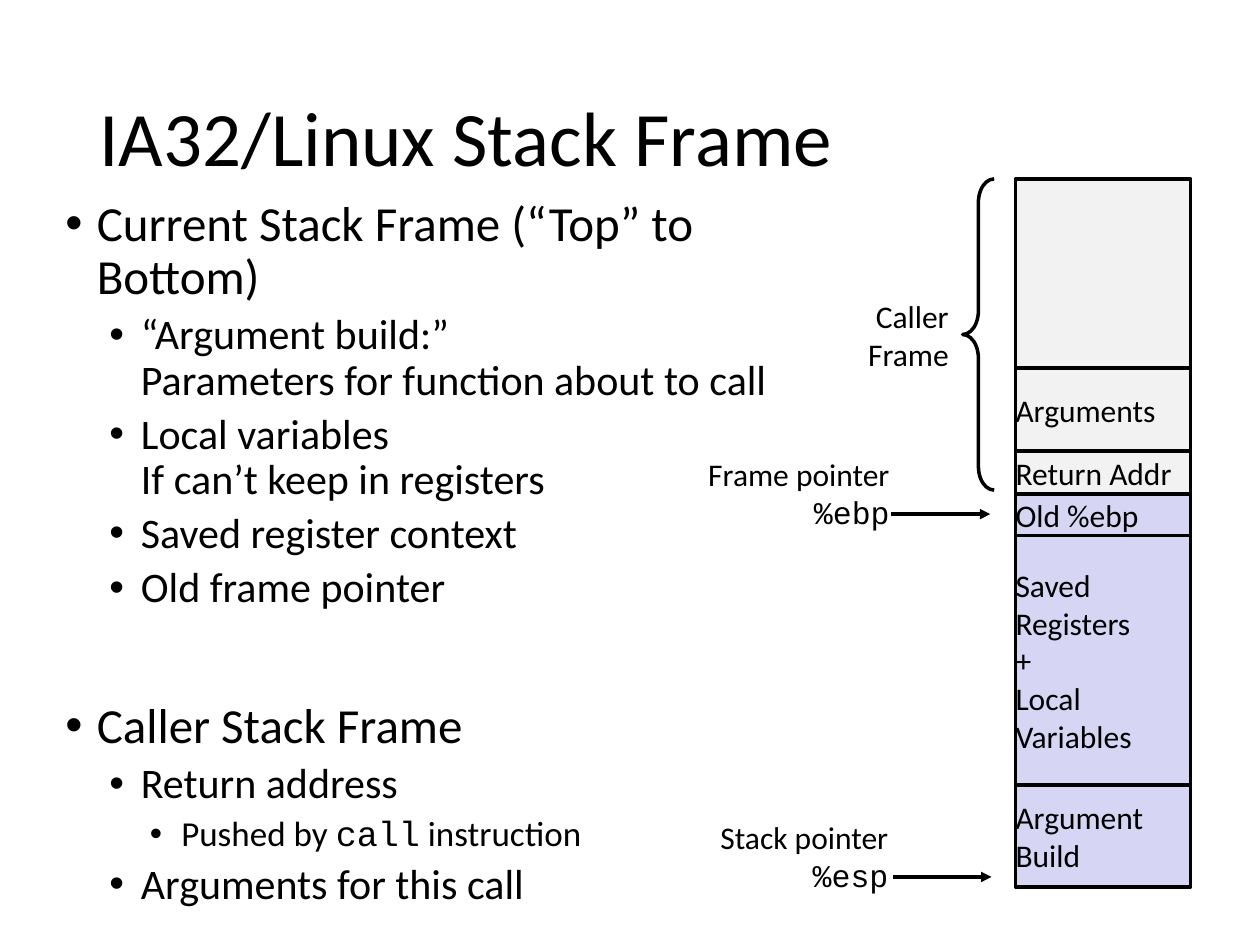
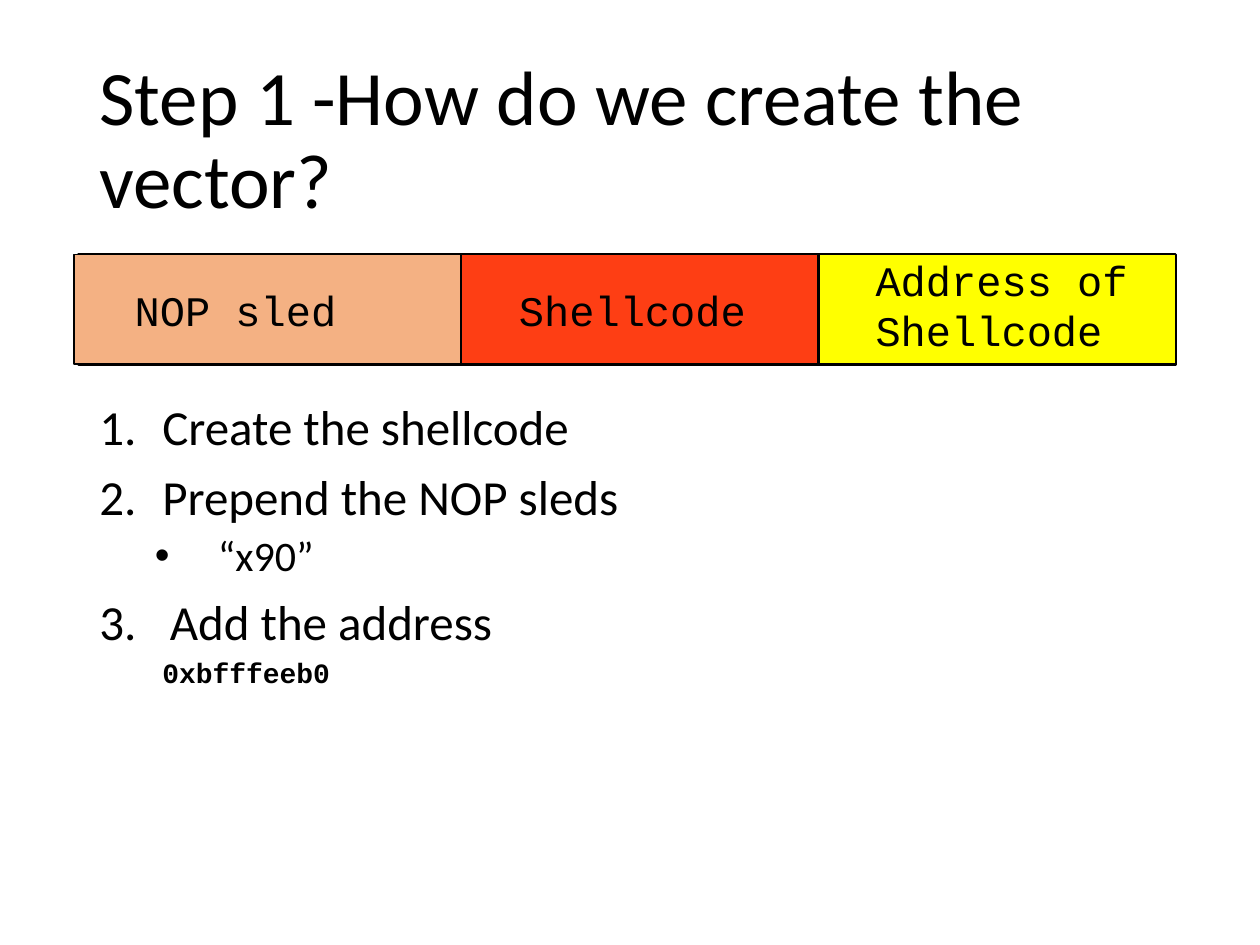
import pptx
import pptx.util
import pptx.dml.color
import pptx.enum.shapes
import pptx.enum.text
import pptx.oxml
import pptx.oxml.ns
from lxml import etree

Inches = pptx.util.Inches
Pt = pptx.util.Pt
Shape = pptx.enum.shapes.MSO_SHAPE
Align = pptx.enum.text.PP_ALIGN
Anchor = pptx.enum.text.MSO_ANCHOR

HUES = {"ink": "000000", "caller": "F2F2F2", "current": "D6D6F4",
        "sled": "F4B183", "code": "FE3E14", "address": "FFFF00"}
SANS, MONO = "Calibri", "Courier New"

# level, left, hang, size, space before, bullet
STYLES = {
    "top": (0, 0.25, 0.25, 28, 10, "•"),
    "sub": (1, 0.6, 0.25, 24, 5, "•"),
    "low": (2, 0.92, 0.25, 20, 5, "•"),
    "step": (0, 0.5, 0.5, 28, 10, "auto"),
    "last": (0, 0.56, 0.56, 28, 10, "auto"),
    "note": (1, 0.94, 0.5, 24, 5, "•"),
    "hex": (1, 0.5, 0, 16, 5, None),
}

FRAME = {
    "title": "IA32/Linux Stack Frame",
    "box": (0.42, 1.53, 5.88, 5.94),
    "rows": [
        ("top", ["Current Stack Frame (“Top” to Bottom)"]),
        ("sub", ["“Argument build:”\nParameters for function about to call"]),
        ("sub", ["Local variables\nIf can’t keep in registers"]),
        ("sub", ["Saved register context"]),
        ("sub", ["Old frame pointer"]),
        ("top", ["Caller Stack Frame"], 51),
        ("sub", ["Return address"]),
        ("low", ["Pushed by ", ("call", MONO), " instruction"]),
        ("sub", ["Arguments for this call"]),
    ],
}
VECTOR = {
    "title": "Step 1 -How do we create the vector?",
    "box": (0.69, 3.15, 8.62, 3.6),
    "rows": [
        ("step", ["Create the shellcode"]),
        ("step", ["Prepend the NOP sleds"]),
        ("note", ["“x90”"]),
        ("last", ["Add the address"]),
        ("hex", [("0xbfffeeb0", MONO)]),
    ],
}
STACK = [
    ("caller", 1.5, []),
    ("caller", 0.66, ["Arguments"]),
    ("caller", 0.34, ["Return Addr"]),
    ("current", 0.33, ["Old %ebp"]),
    ("current", 1.98, ["Saved", "Registers", "+", "Local", "Variables"]),
    ("current", 0.81, ["Argument", "Build"]),
]
TAGS = [
    ((6.82, 2.32, 0.75, 0.69), [["Caller"], ["Frame"]]),
    ((5.39, 3.57, 1.71, 0.67), [["Frame pointer\n", ("%ebp", MONO)]]),
    ((5.47, 6.45, 1.62, 0.67), [["Stack pointer"], [("%esp", MONO)]]),
]
ARROWS = [(7.07, 7.86, 4.08), (7.09, 7.87, 6.96)]
PARTS = [
    ("code", 3.66, 2.83, (4.02, 2.21, 2.02, 0.5), ["Shellcode"]),
    ("sled", 0.59, 3.07, (0.97, 2.21, 1.83, 0.5), ["NOP sled"]),
    ("address", 6.5, 2.83, (6.85, 1.97, 2.22, 0.91), ["Address of", "Shellcode"]),
]


def hue(name):
    return pptx.dml.color.RGBColor.from_string(HUES[name])


def place(box):
    return [Inches(n) for n in box]


def write(para, runs, size, bold=False, font=SANS):
    for item in runs:
        text, face = item if isinstance(item, tuple) else (item, font)
        for i, line in enumerate(text.split("\n")):
            if i:
                para.add_line_break()
            if line:
                run = para.add_run()
                run.text = line
                run.font.name = face
                run.font.size = Pt(size)
                run.font.bold = bold
                run.font.color.rgb = hue("ink")


def fill(frame, paras, size, align=Align.LEFT, font=SANS):
    for i, runs in enumerate(paras):
        para = frame.add_paragraph() if i else frame.paragraphs[0]
        para.alignment = align
        write(para, runs, size, font=font)


def inset(frame, gap):
    frame.margin_left = frame.margin_right = Inches(gap)
    frame.margin_top = frame.margin_bottom = Inches(gap)


def label(slide, box, wrap=True):
    frame = slide.shapes.add_textbox(*place(box)).text_frame
    frame.word_wrap = wrap
    return frame


def block(slide, box, tone, width, kind=Shape.RECTANGLE):
    shape = slide.shapes.add_shape(kind, *place(box))
    shape.shadow.inherit = False
    if tone:
        shape.fill.solid()
        shape.fill.fore_color.rgb = hue(tone)
    else:
        shape.fill.background()
    shape.line.color.rgb = hue("ink")
    shape.line.width = Pt(width)
    return shape


def arrow(slide, left, right, y):
    line = slide.shapes.add_connector(
        pptx.enum.shapes.MSO_CONNECTOR.STRAIGHT, *place((left, y, right, y)))
    line.line.color.rgb = hue("ink")
    line.line.width = Pt(2)
    tip = etree.SubElement(line.line._get_or_add_ln(), pptx.oxml.ns.qn("a:tailEnd"))
    tip.set("type", "triangle")
    etree.SubElement(line._element.spPr, pptx.oxml.ns.qn("a:effectLst"))


def bullet(para, left, hang, mark):
    props = para._p.get_or_add_pPr()
    props.set("marL", str(Inches(left)))
    props.set("indent", str(-Inches(hang)))
    if mark == "auto":
        node = etree.SubElement(props, pptx.oxml.ns.qn("a:buAutoNum"))
        node.set("type", "arabicPeriod")
    elif mark:
        face = etree.SubElement(props, pptx.oxml.ns.qn("a:buFont"))
        face.set("typeface", "Arial")
        node = etree.SubElement(props, pptx.oxml.ns.qn("a:buChar"))
        node.set("char", mark)


def start(deck, page):
    slide = deck.slides.add_slide(deck.slide_layouts[5])
    title = slide.shapes.title
    title.left, title.top, title.width, title.height = place((0.69, 0.4, 8.62, 1.45))
    frame = title.text_frame
    frame.auto_size = pptx.enum.text.MSO_AUTO_SIZE.NONE
    frame.vertical_anchor = Anchor.MIDDLE
    fill(frame, [[page["title"]]], 44)
    frame.paragraphs[0].line_spacing = 0.9

    frame = label(slide, page["box"])
    for i, (kind, runs, *gap) in enumerate(page["rows"]):
        level, left, hang, size, before, mark = STYLES[kind]
        para = frame.add_paragraph() if i else frame.paragraphs[0]
        para.level = level
        bullet(para, left, hang, mark)
        para.line_spacing = 0.9
        if i:
            para.space_before = Pt(gap[0] if gap else before)
        write(para, runs, size, kind == "hex")
    return slide


def stack(slide):
    top = 1.42
    for tone, high, lines in STACK:
        frame = block(slide, (8.06, top, 1.39, high), tone, 2).text_frame
        inset(frame, 0)
        frame.vertical_anchor = Anchor.MIDDLE
        fill(frame, [[line] for line in lines], 18)
        top += high
    brace = block(slide, (7.64, 1.42, 0.25, 2.47), None, 2, Shape.LEFT_BRACE)
    brace.adjustments[0] = 0.75
    for box, paras in TAGS:
        frame = label(slide, box)
        inset(frame, 0.04)
        fill(frame, paras, 18, Align.RIGHT)
    for ends in ARROWS:
        arrow(slide, *ends)


def vector(slide):
    block(slide, (0.63, 2.02, 8.7, 0.87), None, 2.25)
    for tone, left, wide, box, lines in PARTS:
        block(slide, (left, 2.02, wide, 0.87), tone, 1)
        fill(label(slide, box, False), [[line] for line in lines], 24, font=MONO)


def main():
    deck = pptx.Presentation()
    deck.slide_width, deck.slide_height = place((10, 7.5))
    stack(start(deck, FRAME))
    vector(start(deck, VECTOR))
    deck.save("out.pptx")


if __name__ == "__main__":
    main()
